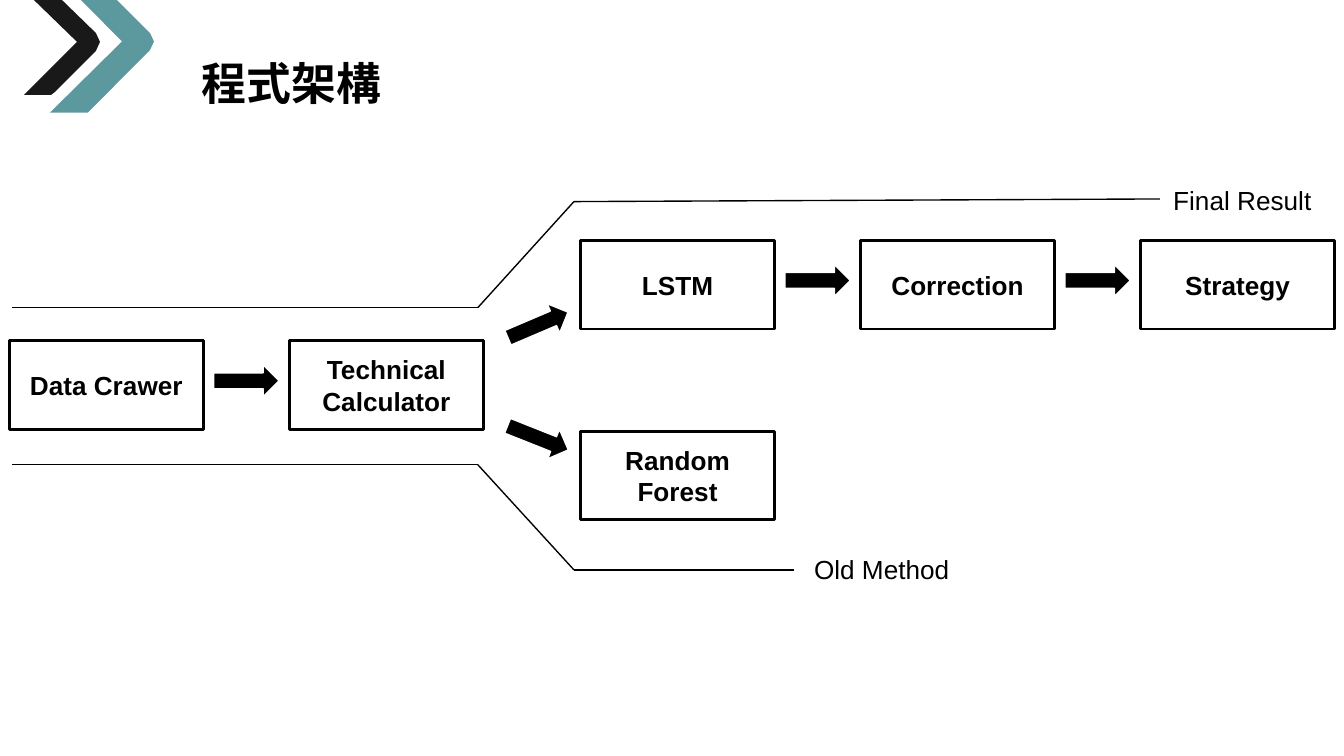
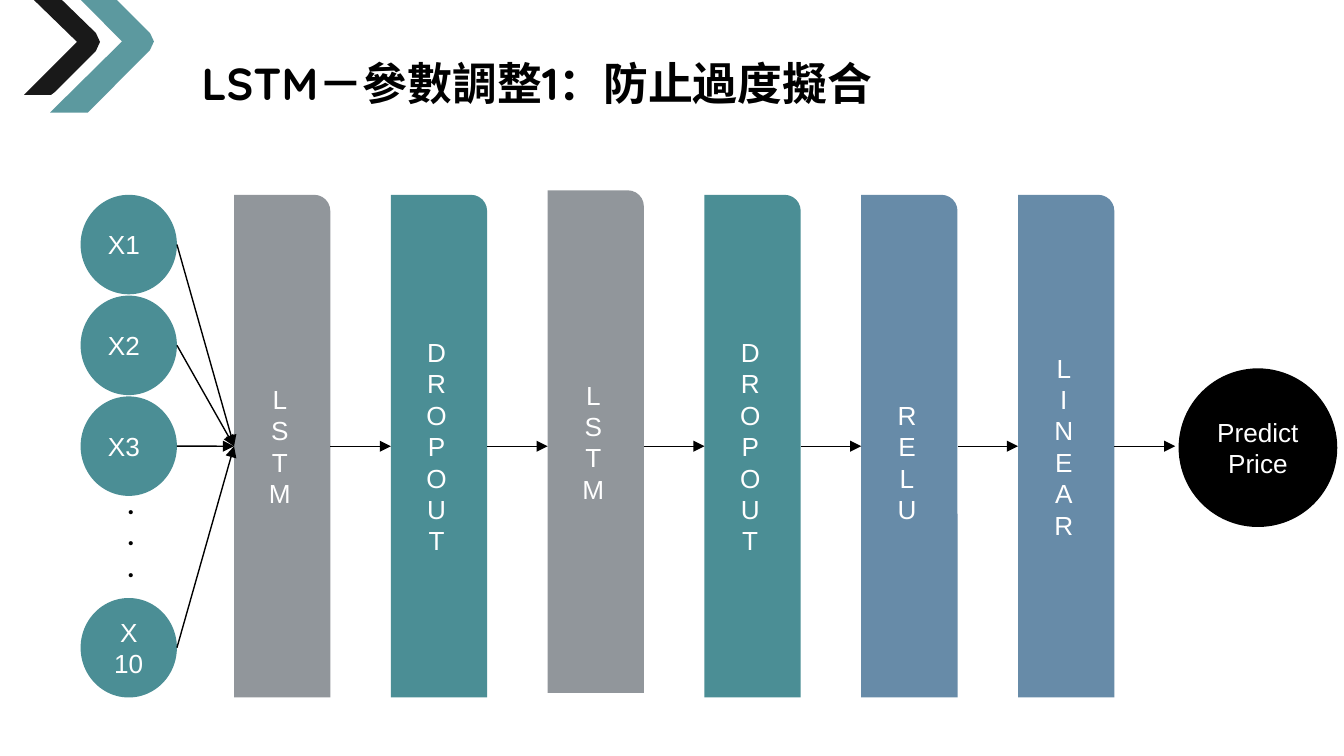
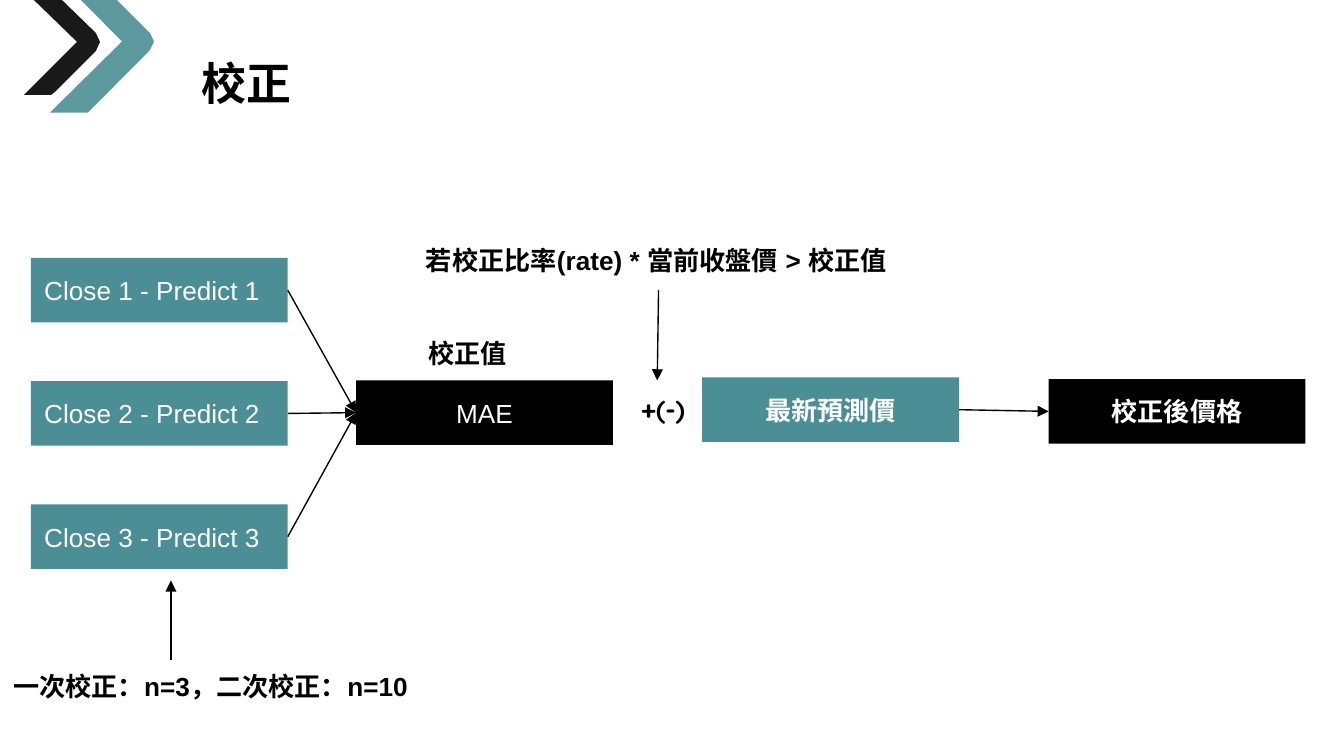
from itertools import pairwise

from lxml import etree
from pptx import Presentation
from pptx import util as u
from pptx.dml.color import RGBColor
from pptx.enum import shapes, text
from pptx.oxml.ns import qn

HUES = {
    "black": "000000",
    "white": "FFFFFF",
    "teal": "4B8E95",
    "gray": "91969B",
    "blue": "678BA8",
}
KIND = shapes.MSO_SHAPE
LEFT, MID = text.PP_ALIGN.LEFT, text.PP_ALIGN.CENTER
PAD = (7.2, 7.2, 7.2, 7.2)
TEAL_MARK = [(43.4, 0), (62.7, 0), (80.4, 17.7), (82.5, 22.2), (80.4, 26.8),
             (47.1, 60.3), (26.8, 60.3), (65.4, 22.2)]
DARK_MARK = [(18.2, 0), (33.2, 0), (51.4, 17.7), (53.6, 22.5), (51.4, 27.3),
             (29.5, 49.3), (27.3, 50.9), (12.9, 50.9), (41.3, 22.5)]


def rgb(hue):
    """Return the named colour."""
    return RGBColor.from_string(HUES[hue])


def pts(*nums):
    """Turn numbers into point lengths."""
    return [u.Pt(n) for n in nums]


def write(shape, words, hue="black", size=14, bold=False, font="Arial",
          align=LEFT, pad=PAD, anchor=text.MSO_ANCHOR.MIDDLE):
    """Fill a shape with styled text."""
    frame = shape.text_frame
    frame.word_wrap = True
    frame.vertical_anchor = anchor
    (frame.margin_left, frame.margin_top,
     frame.margin_right, frame.margin_bottom) = pts(*pad)
    frame.text = words
    for para in frame.paragraphs:
        para.alignment = align
        for run in para.runs:
            run.font.size = u.Pt(size)
            run.font.bold = bold
            run.font.color.rgb = rgb(hue)
            run.font.name = font
            props = run._r.get_or_add_rPr()
            etree.SubElement(props, qn("a:ea"), typeface=font)


def label(slide, box, words, **style):
    """Add a text box anchored at its top."""
    note = slide.shapes.add_textbox(*pts(*box))
    write(note, words, anchor=text.MSO_ANCHOR.TOP, **style)
    return note


def block(slide, kind, box, fill, edge=None, width=0.75):
    """Add a flat preset shape."""
    shape = slide.shapes.add_shape(kind, *pts(*box))
    shape.shadow.inherit = False
    shape.fill.solid()
    shape.fill.fore_color.rgb = rgb(fill)
    if edge:
        shape.line.color.rgb = rgb(edge)
        shape.line.width = u.Pt(width)
    else:
        shape.line.fill.background()
    return shape


def link(slide, start, end, first=None, last=None, head=True):
    """Draw a line, joined right side to left side where shapes are given."""
    line = slide.shapes.add_connector(
        shapes.MSO_CONNECTOR.STRAIGHT, *pts(*start, *end))
    if first is not None:
        line.begin_connect(first, 3)
    if last is not None:
        line.end_connect(last, 1)
    line.line.color.rgb = rgb("black")
    line.line.width = u.Pt(0.75)
    props = line._element.spPr
    if head:
        etree.SubElement(props.find(qn("a:ln")), qn("a:tailEnd"), type="triangle")
    etree.SubElement(props, qn("a:effectLst"))


def mark(slide, dots, hue):
    """Draw one translucent corner chevron."""
    spots = [pts(*dot) for dot in dots]
    build = slide.shapes.build_freeform(*spots[0], scale=1.0)
    build.add_line_segments(spots[1:], close=True)
    shape = build.convert_to_shape()
    shape.shadow.inherit = False
    shape.fill.solid()
    shape.fill.fore_color.rgb = rgb(hue)
    shape.line.fill.background()
    tint = shape._element.spPr.find(".//" + qn("a:srgbClr"))
    etree.SubElement(tint, qn("a:alpha"), val="90000")


def page(deck, title, width, font="Quicksand"):
    """Add a slide with its title and corner marks."""
    slide = deck.slides.add_slide(deck.slide_layouts[6])
    label(slide, (103, 26.6, width, 34.6), title, size=24, bold=True,
          font=font, pad=(5, 3, 5, 3))
    mark(slide, TEAL_MARK, "teal")
    mark(slide, DARK_MARK, "black")
    return slide


def flow(slide, left, top):
    """Draw the program flow with its two branches."""
    step, low, mid, high = 150, 125, 76.5, 22.8
    fork = 306
    steps = [
        (0, mid, "Data Crawer"), (step, mid, "Technical Calculator"),
        (fork, high, "LSTM"), (fork, low, "Random Forest"),
        (fork + step, high, "Correction"), (fork + 2 * step, high, "Strategy"),
    ]
    for x, y, words in steps:
        box = block(slide, KIND.RECTANGLE, (left + x, top + y, 104, 47.5),
                    "white", "black", 1.5)
        write(box, words, bold=True, align=MID)
    moves = [(109.5, mid + 13, 0), (265.7, 59.6, -23.1), (265.7, 120.1, 21.6),
             (fork + 109.5, high + 13, 0), (fork + step + 109.5, high + 13, 0)]
    for x, y, turn in moves:
        arrow = block(slide, KIND.RIGHT_ARROW, (left + x, top + y, 35, 17),
                      "black", "white")
        arrow.rotation = turn
    rails = [
        [(1.5, 143), (251, 143), (302.5, 199.3), (420.5, 199.3)],
        [(1.5, 58.8), (251, 58.8), (302.5, 2), (616.4, 0.6)],
    ]
    for rail in rails:
        spots = [(left + x, top + y) for x, y in rail]
        for start, end in pairwise(spots):
            link(slide, start, end, head=False)
    label(slide, (left + 424, top + 183.4, 104, 31.7), "Old Method")
    label(slide, (left + 616.4, top - 14.6, 104, 31.7), "Final Result")


def net(slide, left, top):
    """Draw the inputs, the layers and the output of the network."""
    wide, tall, gap = 51.6, 269.3, 84
    axis = top + tall / 2
    first = left + 82.2
    bars = []
    layers = [("LSTM", "gray", 0), ("DROPOUT", "teal", 0), ("LSTM", "gray", -2.4),
              ("DROPOUT", "teal", 0), ("RELU", "blue", 0), ("LINEAR", "blue", 0)]
    for col, (word, hue, shift) in enumerate(layers):
        bar = block(slide, KIND.ROUND_1_RECTANGLE,
                    (first + col * gap, top + shift, wide, tall), hue)
        extra = 16.8 if word == "RELU" else 0
        write(bar, "\v".join(word), "white", align=MID,
              pad=(7.2, 7.2 + extra, 7.2, 7.2))
        bars.append(None if shift else bar)
    for row, words in [(0, "X1"), (1, "X2"), (2, "X3"), (4, "X\n10")]:
        y = top + row * 54
        dot = block(slide, KIND.OVAL, (left, y, wide, 53.3), "teal")
        write(dot, words, "white", align=MID if "\n" in words else LEFT)
        link(slide, (left + wide, y + 26.6), (first, axis), last=bars[0])
    dots = label(slide, (left + 22.3, top + 158.4, 15.1, 65.5), "．．．")
    dots.rotation = 180
    for col, (bar, after) in enumerate(pairwise(bars + [None])):
        x = first + col * gap
        end = x + (gap if col < len(bars) - 1 else gap + 0.2)
        link(slide, (x + wide, axis), (end, axis), bar, after)
    goal = block(slide, KIND.OVAL, (left + 588.2, axis - 41.7, 85, 85), "black")
    write(goal, "Predict\vPrice", "white", align=MID)


def fix(slide, left, top):
    """Draw how the forecast is corrected."""
    def card(x, y, words, hue, **style):
        """Add one card of the chain."""
        box = block(slide, KIND.RECTANGLE, (left + x, top + y, 137.6, 34.6), hue)
        write(box, words, "white", **style)
        return box

    def arrow(x, y, end_x, end_y):
        """Add a free arrow."""
        link(slide, (left + x, top + y), (left + end_x, top + end_y))

    mean = card(174.2, 80, "MAE", "black", align=MID)
    for row in range(3):
        pair = card(0, 14.4 + row * 66, f"Close {row + 1} - Predict {row + 1}", "teal")
        link(slide, (0, 0), (0, 0), pair, mean)
    price = card(359.6, 78.4, "最新預測價", "teal", bold=True, align=MID)
    final = card(545.2, 79.3, "校正後價格", "black", bold=True, align=MID)
    link(slide, (0, 0), (0, 0), price, final)
    arrow(336.2, 31.7, 335.5, 80)
    arrow(75, 229.6, 75, 187.2)
    notes = [
        (174.2, 49.7, 137.6, "校正值", "Quicksand", 38.6),
        (311.8, 80, 48.2, "+(-)", "Quicksand", 15),
        (204.5, 0, 264.2, "若校正比率(rate) * 當前收盤價 > 校正值", "Arial", 7.2),
        (-16.6, 228.2, 244, "一次校正：n=3，二次校正：n=10", "Arial", 7.2),
    ]
    for x, y, width, words, font, inset in notes:
        label(slide, (left + x, top + y, width, 31.7), words, bold=True,
              font=font, pad=(inset, 7.2, 3 if inset == 15 else 7.2, 7.2))


def main():
    """Build the three slides."""
    deck = Presentation()
    deck.slide_width, deck.slide_height = pts(720, 405)
    flow(page(deck, "程式架構", 138.2), 5, 106)
    net(page(deck, "LSTM－參數調整1：防止過度擬合", 427), 43.2, 104.4)
    fix(page(deck, "校正", 229, "Arial"), 16.6, 123.8)
    deck.save("out.pptx")


if __name__ == "__main__":
    main()
